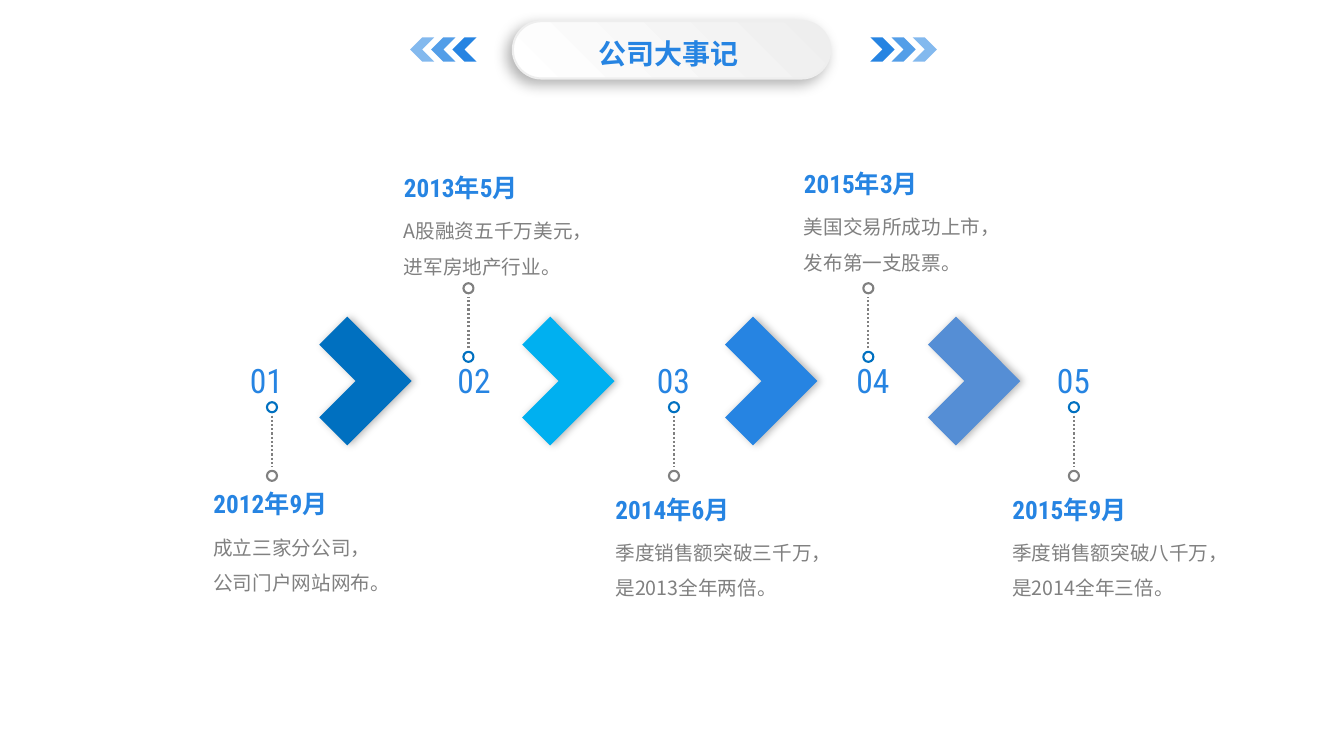
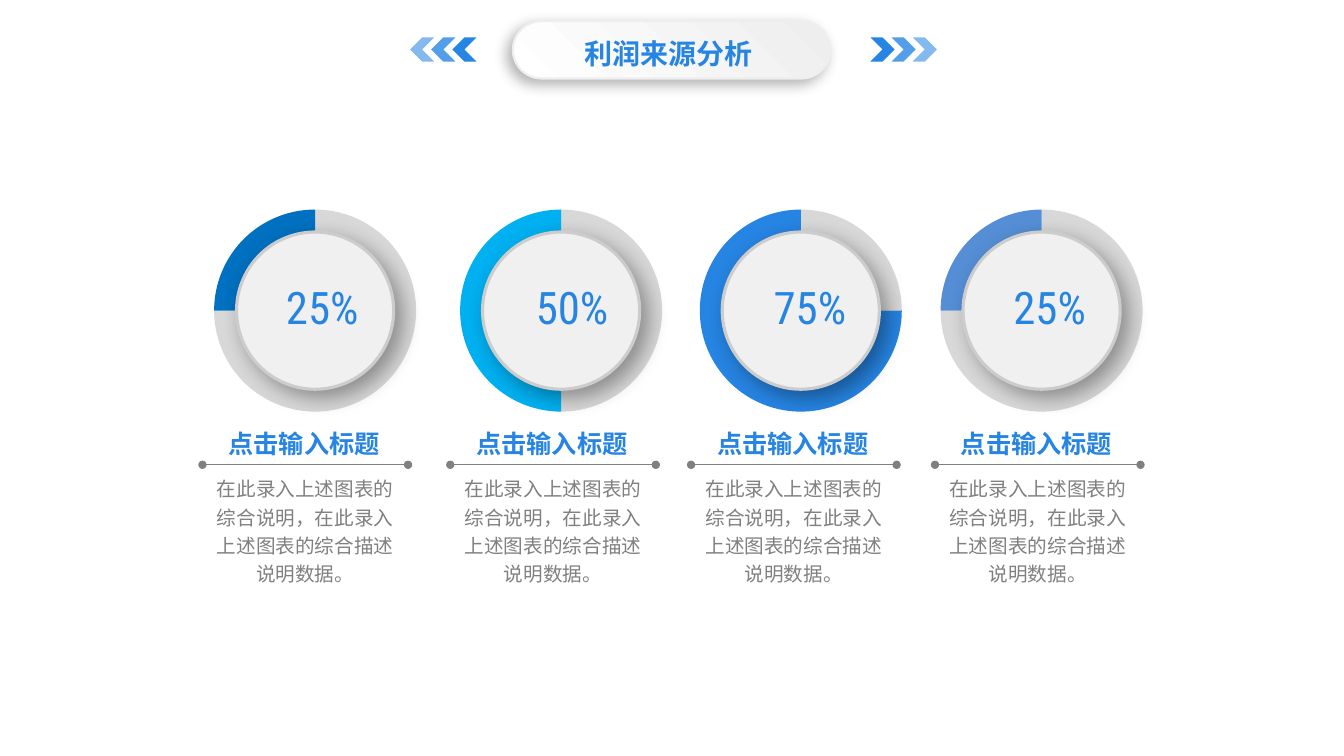
"""Build a company milestone timeline and a profit source slide."""
from dataclasses import dataclass
from lxml.etree import SubElement
from pptx import Presentation
from pptx.chart.data import CategoryChartData as Data
from pptx.dml.color import RGBColor as RGB
from pptx.enum.chart import XL_CHART_TYPE as Kind
from pptx.enum.dml import MSO_LINE as Dash
from pptx.enum.lang import MSO_LANGUAGE_ID as Lang
from pptx.enum.shapes import MSO_CONNECTOR as Link, MSO_SHAPE as Form
from pptx.enum.text import PP_ALIGN as Align
from pptx.oxml import parse_xml
from pptx.oxml.ns import nsdecls, qn
from pptx.util import Pt


@dataclass(frozen=True)
class Theme:
    blue: str = "2684E2"
    deep: str = "0070C0"
    sky: str = "00B0F0"
    dusk: str = "558ED5"
    grey: str = "808080"
    pale: str = "EEEEEE"
    white: str = "FFFFFF"
    rest: str = "D8D8D8"
    disc: str = "F0F0F0"
    rim: str = "CCCCCC"
    black: str = "000000"
    latin: str = "Roboto Condensed"
    han: str = "Noto Sans CJK SC"
    plot: str = "Calibri"
    title: int = 20
    head: int = 18
    body: int = 14
    num: int = 24
    pct: int = 32
    tiny: int = 10


T = Theme()
HUES = (T.deep, T.sky, T.blue, T.dusk)

EVENTS = [
    dict(date="2012年9月", text="成立三家分公司，\n公司门户网站网布。",
         num=190.4, pin=194.4, left=145.4, top=345.6, wide=142),
    dict(date="2013年5月", text="A股融资五千万美元，\n进军房地产行业。",
         num=338.8, pin=334.8, left=281.5, top=119.5, wide=164),
    dict(date="2014年6月", text="季度销售额突破三千万，是2013全年两倍。",
         num=481.3, pin=481.7, left=432.7, top=349.2, wide=166.3),
    dict(date="2015年3月", text="美国交易所成功上市，\n发布第一支股票。",
         num=623.9, pin=620.6, left=567.4, top=116.6, wide=173.5),
    dict(date="2015年9月", text="季度销售额突破八千万，是2014全年三倍。",
         num=767.2, pin=767.5, left=716.4, top=349.2, wide=166.3),
]

LABEL = "点击输入标题"
NOTE = "在此录入上述图表的综合说明，在此录入上述图表的综合描述说明数据。"
SHARES = [
    dict(pct=25, mid=225.2, num=197.3, left=144.7),
    dict(pct=50, mid=401, num=375.8, left=321.8),
    dict(pct=75, mid=572.3, num=545.8, left=493.9),
    dict(pct=25, mid=744.4, num=717.1, left=668.2),
]


def shade(shape, alpha, blur, dist, angle):
    box = shape._element.spPr.find(qn("a:effectLst"))
    cast = SubElement(box, qn("a:outerShdw"), blurRad=str(Pt(blur)),
                      dist=str(Pt(dist)), dir=str(angle * 60000),
                      algn="ctr", rotWithShape="0")
    tint = SubElement(cast, qn("a:srgbClr"), val=T.black)
    SubElement(tint, qn("a:alpha"), val=str(alpha * 1000))


def paint(shape, fill=None, line=None, width=1.5):
    shape.shadow.inherit = False
    if fill:
        shape.fill.solid()
        shape.fill.fore_color.rgb = RGB.from_string(fill)
    else:
        shape.fill.background()
    if line:
        shape.line.color.rgb = RGB.from_string(line)
        shape.line.width = Pt(width)
    else:
        shape.line.fill.background()
    return shape


def round_at(slide, x, y, size, **look):
    dot = slide.shapes.add_shape(Form.OVAL, Pt(x - size / 2), Pt(y - size / 2),
                                 Pt(size), Pt(size))
    return paint(dot, **look)


def write(slide, text, x, y, w, h, size, hue=T.blue, font=T.latin,
          bold=False, align=Align.LEFT, lead=None):
    frame = slide.shapes.add_textbox(Pt(x), Pt(y), Pt(w), Pt(h)).text_frame
    frame.word_wrap = True
    frame.text = text
    for para in frame.paragraphs:
        para.alignment = align
        if lead:
            para.line_spacing = lead
        for run in para.runs:
            face = run.font
            face.size, face.bold, face.name = Pt(size), bold, font
            face.color.rgb = RGB.from_string(hue)
            face.language_id = Lang.SIMPLIFIED_CHINESE
            SubElement(run._r.rPr, qn("a:ea"), typeface=T.han)


def rule(slide, x1, y1, x2, y2, width, dash=None, ends=None):
    link = slide.shapes.add_connector(Link.STRAIGHT, Pt(x1), Pt(y1),
                                      Pt(x2), Pt(y2))
    link.line.color.rgb = RGB.from_string(T.grey)
    link.line.width = Pt(width)
    if dash:
        link.line.dash_style = dash
    if ends:
        for tag in ("a:headEnd", "a:tailEnd"):
            SubElement(link.line._ln, qn(tag), type=ends)
    SubElement(link._element.spPr, qn("a:effectLst"))


def banner(deck, title):
    slide = deck.slides.add_slide(deck.slide_layouts[6])
    pill = slide.shapes.add_shape(Form.ROUNDED_RECTANGLE, Pt(366.5), Pt(15.1),
                                  Pt(226.8), Pt(41))
    pill.adjustments[0] = 0.5
    paint(pill, T.pale, T.pale)
    pill.fill.gradient()
    pill.fill.gradient_angle = 225
    for stop, hue in zip(pill.fill.gradient_stops, (T.pale, T.white)):
        stop.color.rgb = RGB.from_string(hue)
    shade(pill, 30, 10, 5, 135)
    size, axis = 17.3, 481.3
    for side in (1, -1):
        for i, alpha in enumerate((100, 79, 57)):
            mid = axis + side * (149.4 + 15.1 * i)
            mark = slide.shapes.add_shape(Form.CHEVRON, Pt(mid - size / 2),
                                          Pt(26.7), Pt(size), Pt(size))
            mark.rotation = 0 if side > 0 else 180
            paint(mark, T.blue)
            tint = mark._element.spPr.find(".//" + qn("a:srgbClr"))
            SubElement(tint, qn("a:alpha"), val=str(alpha * 1000))
    write(slide, title, 395.3, 22.3, 165.6, 29.5, T.title, bold=True,
          align=Align.CENTER)
    return slide


def arrow(slide, x, y, hue):
    dots = [(0, 20), (20, 0), (66, 46), (20, 92), (0, 72), (26, 46)]
    dots = [(Pt(x + dx), Pt(y + dy)) for dx, dy in dots]
    pen = slide.shapes.build_freeform(*dots[0])
    pen.add_line_segments(dots[1:], close=True)
    shade(paint(pen.convert_to_shape(), hue), 30, 6, 2, 0)


def timeline(deck):
    slide = banner(deck, "公司大事记")
    for i, hue in enumerate(HUES):
        arrow(slide, 228.2 + 145 * i, 226.2, hue)
    for i, item in enumerate(EVENTS):
        near, way = (254.9, -1) if i % 2 else (290.9, 1)
        far, pin = near + 49 * way, item["pin"]
        write(slide, f"{i + 1:02}", item["num"] - 39.2, 253.4, 78.4, 36,
              T.num, align=Align.CENTER)
        round_at(slide, pin, near, 7.2, line=T.deep)
        round_at(slide, pin, far, 7.2, line=T.grey)
        rule(slide, pin, near + 6 * way, pin, far - 6 * way, 1.5,
             dash=Dash.ROUND_DOT)
        x, y = item["left"], item["top"]
        write(slide, item["date"], x, y, 123.8, 28.8, T.head, bold=True)
        write(slide, item["text"], x, y + 25.2, item["wide"], 55.4, T.body,
              T.grey, T.han, lead=1.5)


def ring(slide, mid, y, share, hue):
    w, h, size = 208, 164, 144.4
    data = Data()
    data.categories = ["1", "2"]
    data.add_series("Series 1", (100 - share, share))
    chart = slide.shapes.add_chart(Kind.PIE, Pt(mid - w / 2), Pt(y - h / 2),
                                   Pt(w), Pt(h), data).chart
    chart.has_legend = chart.has_title = False
    chart.font.size, chart.font.name = Pt(T.tiny), T.plot
    chart.font.color.rgb = RGB.from_string(T.black)
    plot = chart.plots[0]
    plot.vary_by_categories = True
    for i, tint in enumerate((T.rest, hue)):
        look = plot.series[0].points[i].format
        look.fill.solid()
        look.fill.fore_color.rgb = RGB.from_string(tint)
        look.line.fill.background()
    area = chart._chartSpace.find(".//" + qn("c:plotArea"))
    for old in area.findall(qn("c:layout")):
        area.remove(old)
    fx, fy = size / w, size / h
    spots = dict(x=(1 - fx) / 2, y=(1 - fy) / 2, w=fx, h=fy)
    parts = "".join(f'<c:{k} val="{v:.4f}"/>' for k, v in spots.items())
    area.insert(0, parse_xml(
        f'<c:layout {nsdecls("c")}><c:manualLayout>'
        '<c:layoutTarget val="inner"/><c:xMode val="edge"/>'
        f'<c:yMode val="edge"/>{parts}</c:manualLayout></c:layout>'))


def profit(deck):
    slide = banner(deck, "利润来源分析")
    y = 221.9
    for item, hue in zip(SHARES, HUES):
        mid, x = item["mid"], item["left"]
        ring(slide, mid, y, item["pct"], hue)
        disc = round_at(slide, mid, y, 112.3, fill=T.disc, line=T.rim,
                        width=2.25)
        shade(disc, 35, 15, 7, 45)
        write(slide, f"{item['pct']}%", item["num"], 195.9, 74, 46, T.pct)
        rule(slide, x, 332, x + 146.9, 332, 0.75, ends="oval")
        write(slide, LABEL, x + 11.5, 302.4, 130.3, 28.8, T.head,
              font=T.han, bold=True)
        write(slide, NOTE, x, 334.1, 146.9, 88.6, T.body, T.grey, T.han,
              align=Align.CENTER, lead=1.2)


def main():
    deck = Presentation()
    deck.slide_width, deck.slide_height = Pt(960.5), Pt(540)
    timeline(deck)
    profit(deck)
    deck.save("out.pptx")


if __name__ == "__main__":
    main()
